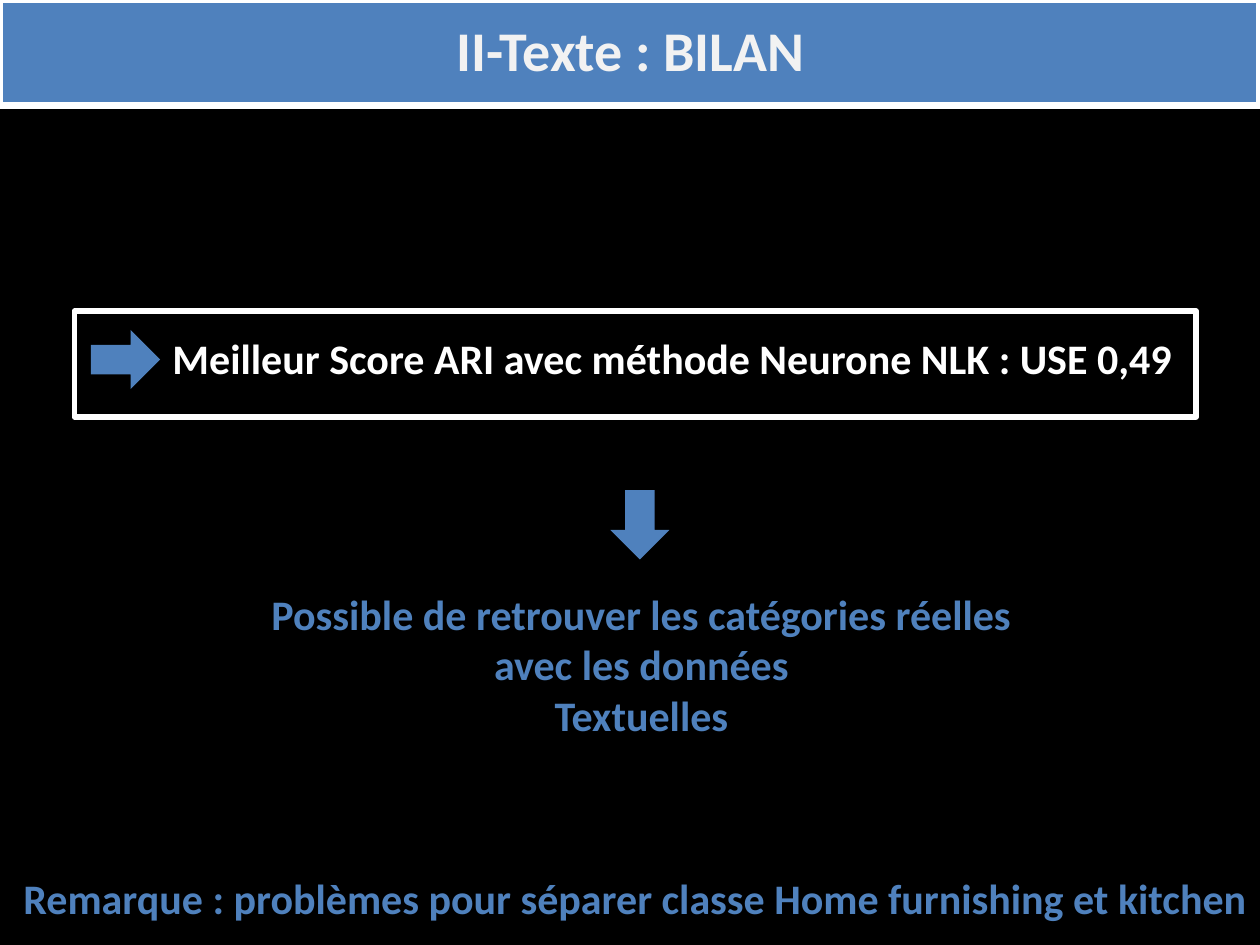
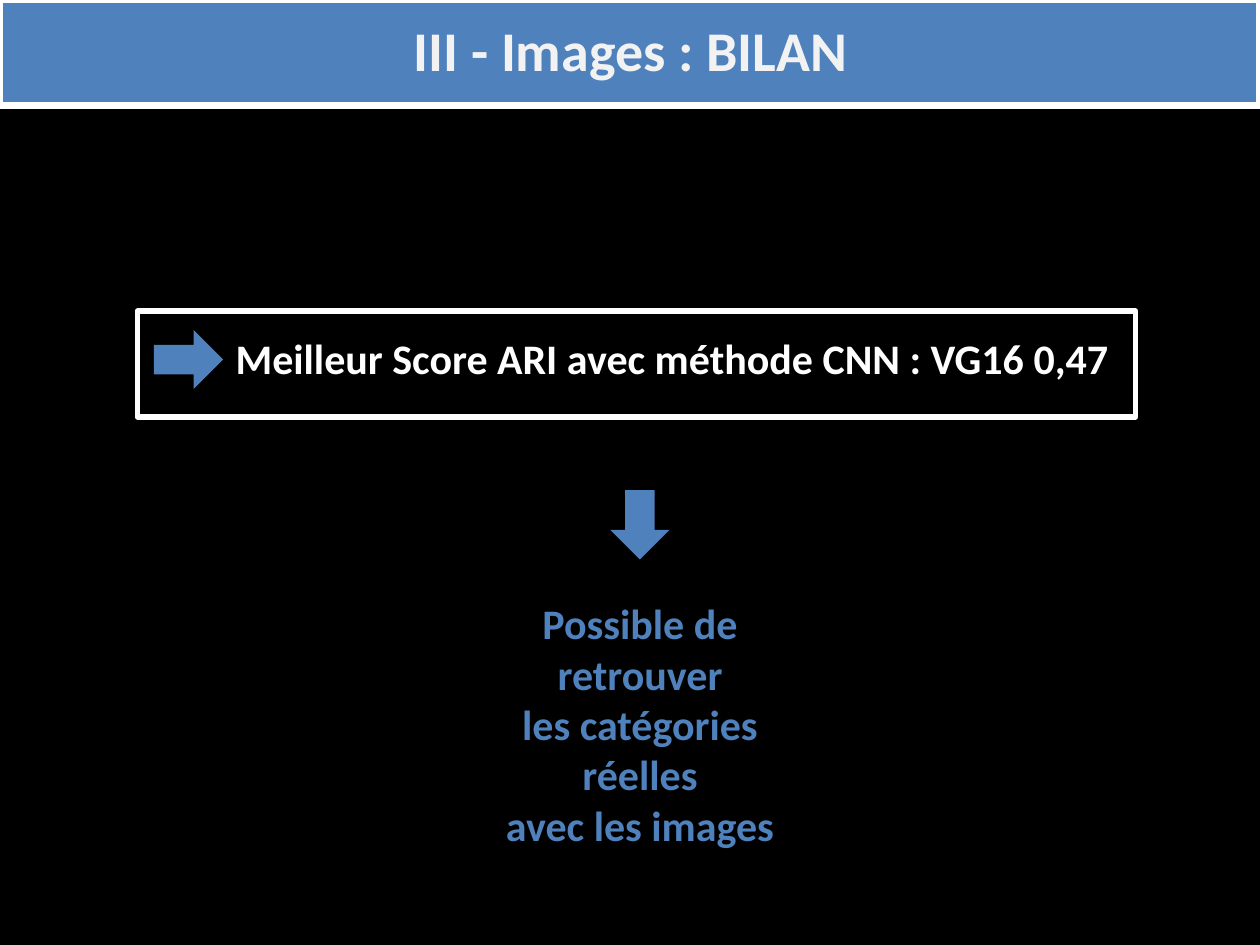
from lxml import etree
from pptx import Presentation
from pptx.dml.color import RGBColor
from pptx.enum.shapes import MSO_CONNECTOR, MSO_SHAPE
from pptx.enum.text import MSO_ANCHOR, PP_ALIGN
from pptx.oxml.ns import qn
from pptx.util import Pt

RECTANGLE = MSO_SHAPE.RECTANGLE
RIGHT_ARROW = MSO_SHAPE.RIGHT_ARROW
STRAIGHT = MSO_CONNECTOR.STRAIGHT
LEFT, CENTER = PP_ALIGN.LEFT, PP_ALIGN.CENTER
TOP, MIDDLE = MSO_ANCHOR.TOP, MSO_ANCHOR.MIDDLE

BLACK = RGBColor(0x00, 0x00, 0x00)
WHITE = RGBColor(0xFF, 0xFF, 0xFF)
OFF_WHITE = RGBColor(0xF2, 0xF2, 0xF2)
BLUE = RGBColor(0x4F, 0x81, 0xBD)

SLIDE_WIDTH, SLIDE_HEIGHT = 720, 540
BAND_HEIGHT = 60.5
FRAME_TOP = 177.8
ARROW_WIDTH, ARROW_HEIGHT = 39.6, 33.8

BODY_FONT = {"name": "Calibri", "size": Pt(24), "bold": True}
TITLE_FONT = BODY_FONT | {"size": Pt(32)}


def add_box(slide, kind, area, fill=None, line_width=0):
    """Add a preset shape with an optional fill and white outline."""
    box = slide.shapes.add_shape(kind, *map(Pt, area))
    box.shadow.inherit = False
    if fill is None:
        box.fill.background()
    else:
        box.fill.solid()
        box.fill.fore_color.rgb = fill
    if line_width:
        box.line.color.rgb = WHITE
        box.line.width = Pt(line_width)
    else:
        box.line.fill.background()
    return box


def add_text(slide, area, lines, color, align=CENTER, anchor=TOP, font=BODY_FONT):
    """Add a wrapped text box with one paragraph per line."""
    frame = slide.shapes.add_textbox(*map(Pt, area)).text_frame
    frame.word_wrap = True
    frame.vertical_anchor = anchor
    frame.text = "\n".join(lines)
    for para in frame.paragraphs:
        para.alignment = align
        for span in para.runs:
            for name, value in font.items():
                setattr(span.font, name, value)
            span.font.color.rgb = color


def add_rule(slide, top):
    """Add a white line across the slide."""
    rule = slide.shapes.add_connector(STRAIGHT, 0, Pt(top), Pt(SLIDE_WIDTH), Pt(top))
    rule.line.color.rgb = WHITE
    rule.line.width = Pt(3)
    etree.SubElement(rule._element.spPr, qn("a:effectLst"))


def add_arrow(slide, left, top, rotation=0):
    """Add a blue block arrow."""
    arrow = add_box(slide, RIGHT_ARROW, (left, top, ARROW_WIDTH, ARROW_HEIGHT), BLUE)
    arrow.rotation = rotation


def add_score(slide, left, width, text):
    """Add the framed best score with its arrow."""
    add_box(slide, RECTANGLE, (left, FRAME_TOP, width, BAND_HEIGHT), line_width=3)
    text_left = left + 49
    add_text(slide, (text_left, FRAME_TOP + 8.7, left + width - text_left, 36),
             [text], WHITE, LEFT)
    add_arrow(slide, text_left - ARROW_WIDTH, FRAME_TOP + 10.8)


def add_summary_slide(deck, title, score, conclusion):
    """Add a slide with a title band, a score and a conclusion."""
    slide = deck.slides.add_slide(deck.slide_layouts[6])
    slide.background.fill.solid()
    slide.background.fill.fore_color.rgb = BLACK
    add_box(slide, RECTANGLE, (0, 0, SLIDE_WIDTH, BAND_HEIGHT), BLUE, 4)
    add_text(slide, (36.5, -2, 648, BAND_HEIGHT), [title], OFF_WHITE,
             anchor=MIDDLE, font=TITLE_FONT)
    add_score(slide, *score)
    add_arrow(slide, 345.8, 283, 90)
    add_text(slide, *conclusion, BLUE)
    return slide


def main():
    """Build and save the two summary slides."""
    deck = Presentation()
    deck.slide_width, deck.slide_height = Pt(SLIDE_WIDTH), Pt(SLIDE_HEIGHT)
    text_slide = add_summary_slide(
        deck, "II-Texte : BILAN",
        (42.5, 641, "Meilleur Score ARI avec méthode Neurone NLK : USE 0,49"),
        ((96, 332.8, 541, 94.5),
         ["Possible de retrouver les catégories réelles", "avec les données", "Textuelles"]))
    add_rule(text_slide, BAND_HEIGHT)
    add_text(text_slide, (3, 494.8, SLIDE_WIDTH, 36),
             ["Remarque : problèmes pour séparer classe Home furnishing et kitchen"], BLUE)
    add_summary_slide(
        deck, "III - Images : BILAN",
        (78.5, 570.5, "Meilleur Score ARI avec méthode CNN : VG16 0,47"),
        ((266.4, 338, 198.7, 181.5),
         ["Possible de retrouver", "les catégories réelles", "avec les images"]))
    deck.save("out.pptx")


if __name__ == "__main__":
    main()
